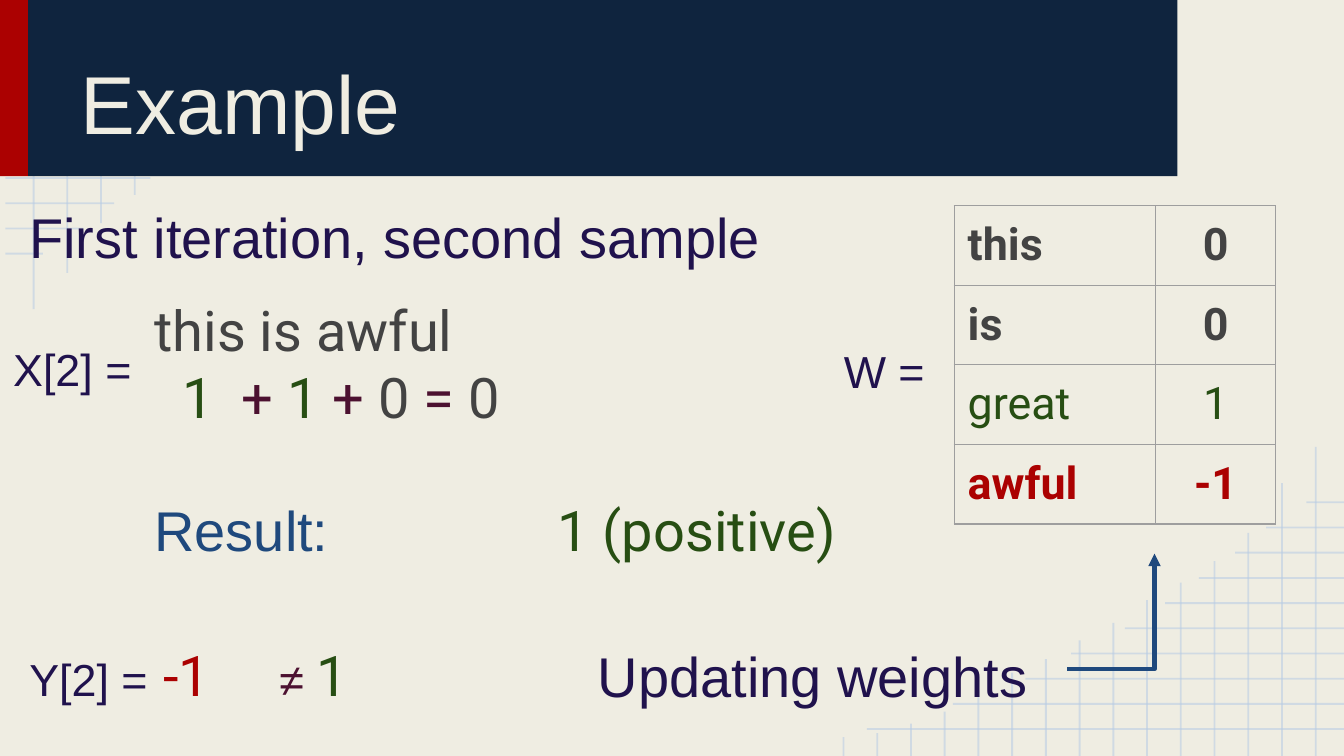
import pptx
import pptx.util
import pptx.dml.color
import pptx.enum.shapes
import pptx.enum.text
import pptx.oxml
import pptx.oxml.ns
from pptx.util import Inches

COLORS = {
    "paper": "EFEDE2", "grid": "B7CCE4", "red": "AB0101", "navy": "0F243E",
    "indigo": "20124D", "gray": "434343", "plum": "4C1130", "green": "274E13",
    "blue": "1F497D", "border": "9E9E9E",
}
WIDTH = 10
HEIGHT = WIDTH * 9 / 16
ANCHOR = pptx.enum.text.MSO_ANCHOR
CONNECTOR = pptx.enum.shapes.MSO_CONNECTOR
qn = pptx.oxml.ns.qn

# Ends of the grid lines, which grow shorter away from the corner
ROW_ENDS = [3.59, 2.95, 2.41, 2.07, 1.67, 1.37, 1.12, 0.85, 0.62, 0.32]
COLUMN_ENDS = [2.3, 2.03, 1.66, 1.45, 1.29, 1.16, 0.99, 0.86,
               0.72, 0.62, 0.48, 0.33, 0.24, 0.17, 0.14]

WEIGHTS = [("this", "0", "gray", True), ("is", "0", "gray", True),
           ("great", "1", "green", False), ("awful", "-1", "red", True)]


def rgb(color):
    return pptx.dml.color.RGBColor.from_string(COLORS[color])


def xml(tag, **attributes):
    element = pptx.oxml.parse_xml(f"<a:{tag} {pptx.oxml.ns.nsdecls('a')}/>")
    for name, value in attributes.items():
        element.set(name, str(value))
    return element


class Page:
    """The current slide and the style of its elements."""

    def __init__(self, deck):
        self.slide = deck.slides.add_slide(deck.slide_layouts[5])
        self.shapes = self.slide.shapes
        fill = self.slide.background.fill
        fill.solid()
        fill.fore_color.rgb = rgb("paper")

    def frame(self, frame, anchor):
        frame.word_wrap = True
        frame.auto_size = pptx.enum.text.MSO_AUTO_SIZE.NONE
        frame.vertical_anchor = anchor
        frame.margin_left = frame.margin_right = Inches(0.1)
        frame.margin_top = frame.margin_bottom = Inches(0.1)

    def spans(self, para, spans):
        """Add runs given as (text, color, size, font, bold)."""
        para.alignment = para.alignment or pptx.enum.text.PP_ALIGN.LEFT
        for text, color, size, font, *bold in spans:
            span = para.add_run()
            span.text = text
            span.font.size = pptx.util.Pt(size)
            span.font.name = font
            span.font.bold = bool(bold and bold[0])
            span.font.color.rgb = rgb(color)

    def title(self, text, left, top, width, height):
        title = self.shapes.title
        title.left, title.top = Inches(left), Inches(top)
        title.width, title.height = Inches(width), Inches(height)
        title.element.getparent().append(title.element)  # in front of the band
        self.frame(title.text_frame, ANCHOR.BOTTOM)
        self.spans(title.text_frame.paragraphs[0], [(text, "paper", 44, "Arial")])

    def text(self, left, top, width, height, *paras, anchor=ANCHOR.TOP, spacing=None):
        box = self.shapes.add_textbox(Inches(left), Inches(top), Inches(width), Inches(height))
        frame = box.text_frame
        self.frame(frame, anchor)
        for index, spans in enumerate(paras):
            para = frame.add_paragraph() if index else frame.paragraphs[0]
            para.line_spacing = spacing
            self.spans(para, spans)
        return frame.paragraphs

    def tab_stops(self, para, *positions):
        stops = xml("tabLst")
        for position in positions:
            stops.append(xml("tab", pos=Inches(position), algn="l"))
        para._p.get_or_add_pPr().append(stops)

    def band(self, left, top, width, height, color):
        band = self.shapes.add_shape(pptx.enum.shapes.MSO_SHAPE.RECTANGLE, Inches(left),
                                     Inches(top), Inches(width), Inches(height))
        band.shadow.inherit = False
        band.fill.solid()
        band.fill.fore_color.rgb = rgb(color)
        band.line.fill.background()

    def line(self, start, end, color, weight, kind=CONNECTOR.STRAIGHT):
        points = [Inches(value) for value in (*start, *end)]
        line = self.shapes.add_connector(kind, *points)
        line.line.color.rgb = rgb(color)
        line.line.width = pptx.util.Pt(weight)
        line.element.spPr.append(xml("effectLst"))
        return line

    def grid_line(self, start, end):
        """Draw a pale line and its half-turn twin in the opposite corner."""
        for turned in (False, True):
            if turned:
                start, end = [(WIDTH + 0.04 - x, HEIGHT - y) for x, y in (start, end)]
            line = self.line(start, end, "grid", 1)
            line.element.spPr.find(".//" + qn("a:srgbClr")).append(xml("alpha", val=54000))

    def bent_arrow(self, start, end, color, weight):
        """Draw an arrow that runs sideways, then turns once."""
        arrow = self.line(start, end, color, weight, CONNECTOR.ELBOW)
        arrow.element.spPr.find(qn("a:prstGeom")).set("prst", "bentConnector2")
        arrow.element.spPr.find(qn("a:ln")).append(xml("tailEnd", type="triangle"))

    def border(self, cell):
        properties = cell._tc.get_or_add_tcPr()
        for position, side in enumerate(("lnL", "lnR", "lnT", "lnB")):
            edge = xml(side, w=pptx.util.Pt(0.75))
            fill = xml("solidFill")
            fill.append(xml("srgbClr", val=COLORS["border"]))
            edge.append(fill)
            properties.insert(position, edge)

    def table(self, left, top, widths, row_height, rows):
        table = self.shapes.add_table(len(rows), len(widths), Inches(left), Inches(top),
                                      Inches(sum(widths)), Inches(row_height * len(rows))).table
        table.first_row = table.horz_banding = False
        for column, width in zip(table.columns, widths):
            column.width = Inches(width)
        for row, (word, weight, color, bold) in enumerate(rows):
            table.rows[row].height = Inches(row_height)
            for column, text in enumerate((word, weight)):
                cell = table.cell(row, column)
                cell.margin_left = cell.margin_right = Inches(0.1)
                cell.margin_top = cell.margin_bottom = Inches(0.1)
                cell.fill.background()
                self.border(cell)
                para = cell.text_frame.paragraphs[0]
                if column:
                    para.alignment = pptx.enum.text.PP_ALIGN.CENTER
                self.spans(para, [(text, color, 24, "Roboto", bold)])


def main():
    deck = pptx.Presentation()
    deck.slide_width, deck.slide_height = Inches(WIDTH), Inches(HEIGHT)
    page = Page(deck)

    for index, end in enumerate(ROW_ENDS):
        y = 0.2 + 0.1875 * index
        page.grid_line((0.04, y), (end, y))
    for index, end in enumerate(COLUMN_ENDS):
        x = 0.25 + 0.251 * index
        page.grid_line((x, end), (x, 0))

    page.band(0, -0.01, 0.21, 1.32, "red")
    page.band(0.21, -0.01, 8.55, 1.32, "navy")
    page.title("Example", 0.5, 0.11, 8, 1.11)

    terms = [("1", "green"), ("  + ", "plum"), ("1", "green"), (" + ", "plum"),
             ("0", "gray"), (" = ", "plum"), ("0", "gray")]
    sentence, score, result = page.text(
        1.05, 2.1, 6.18, 2.22,
        [("this is awful", "gray", 30, "Roboto")],
        [(text, color, 30, "Roboto") for text, color in terms],
        [("Result:\t\t", "blue", 30, "Arial"), ("1 (positive)", "green", 30, "Roboto")])
    score._p.get_or_add_pPr().set("marL", str(Inches(0.21)))
    result.space_before = pptx.util.Pt(35)
    page.tab_stops(result, 2, 3)

    page.text(0.12, 1.41, 6.18, 0.63,
              [("First iteration, second sample", "indigo", 30, "Arial")])
    page.text(6.18, 1.78, 1.09, 1.89, [("W =", "indigo", 24, "Arial")],
              anchor=ANCHOR.MIDDLE, spacing=1.15)
    page.table(7.1, 1.53, [1.5, 0.89], 0.59, WEIGHTS)
    page.text(0, 2.14, 1.09, 1.14, [("X[2] =", "indigo", 24, "Arial")],
              anchor=ANCHOR.MIDDLE, spacing=1.15)

    (label,) = page.text(
        0.12, 4.46, 2.62, 1.04,
        [("Y[2] =", "indigo", 24, "Arial"), (" ", "indigo", 30, "Arial"),
         ("-1\t", "red", 30, "Roboto"), ("≠ ", "plum", 24, "Arial"),
         ("1", "green", 30, "Roboto")],
        anchor=ANCHOR.MIDDLE, spacing=1.15)
    page.tab_stops(label, 1.86)

    page.text(4.35, 4.67, 3.58, 0.63, [("Updating weights", "indigo", 30, "Arial")])
    page.bent_arrow((7.94, 4.98), (8.59, 4.12), "blue", 2.25)

    deck.save("out.pptx")


if __name__ == "__main__":
    main()
